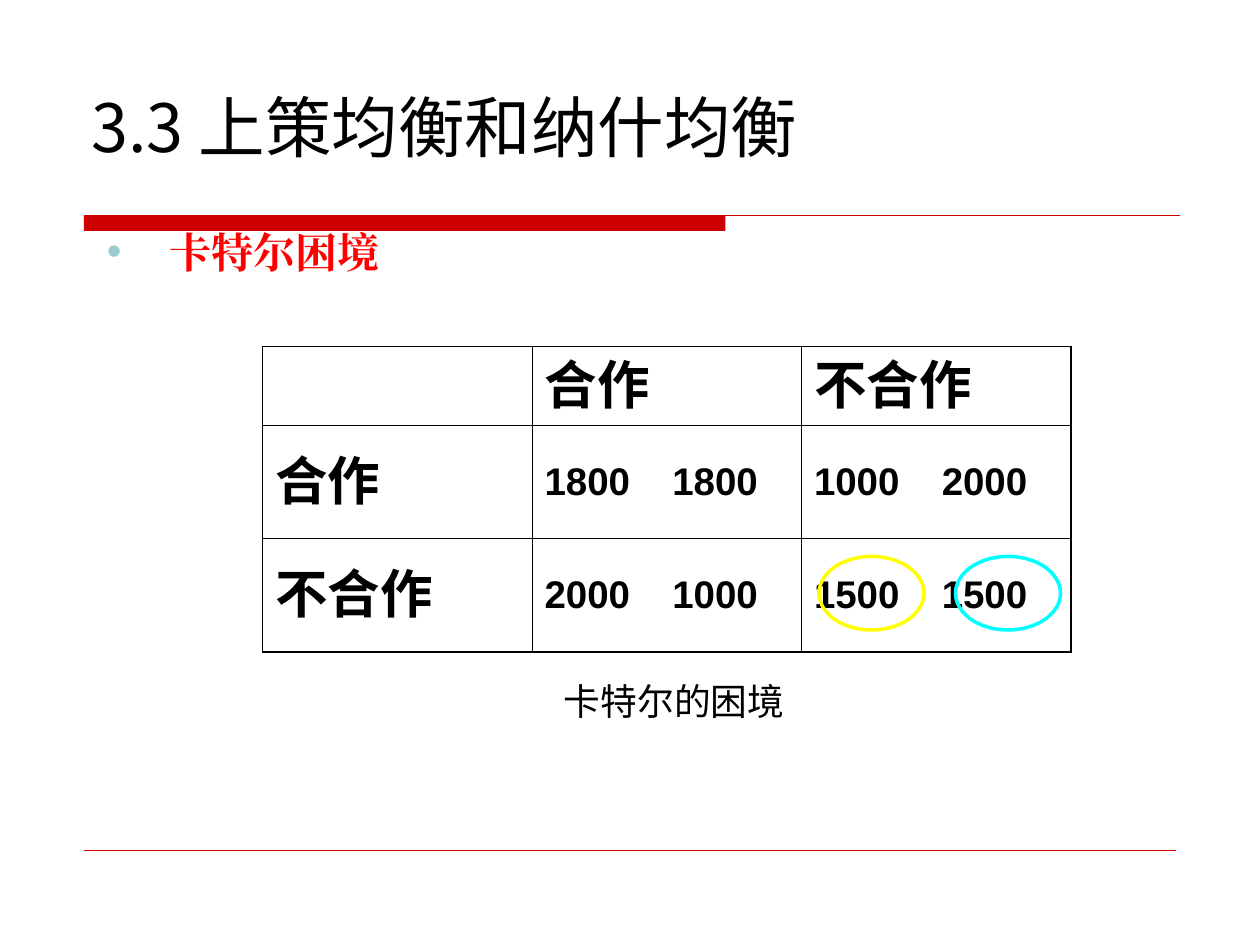
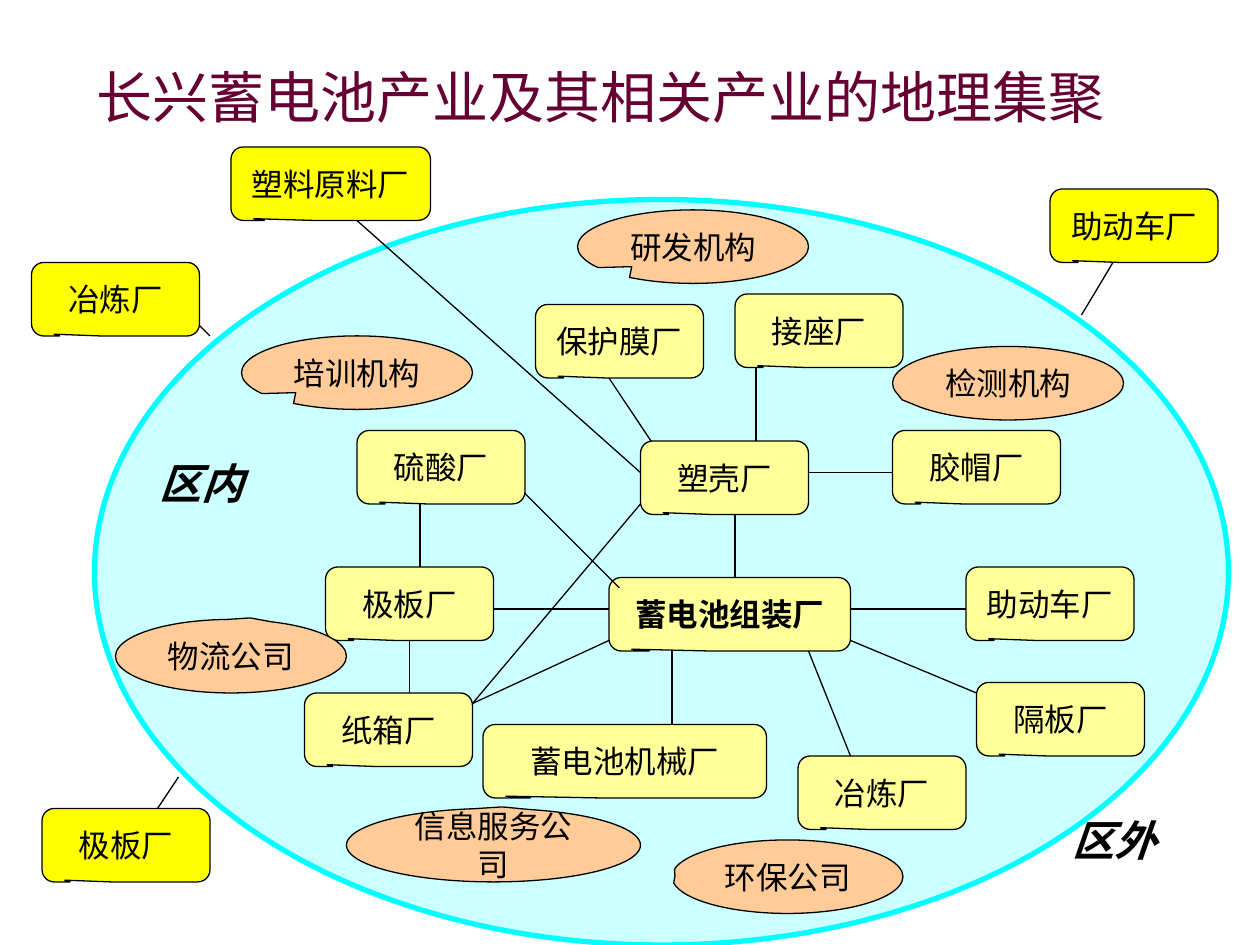
import lxml.etree
import pptx
import pptx.dml.color
import pptx.enum.shapes
import pptx.enum.text
import pptx.oxml.ns
import pptx.util

Pt = pptx.util.Pt
RGB = pptx.dml.color.RGBColor
KIND = pptx.enum.shapes.MSO_SHAPE
ALIGN = pptx.enum.text.PP_ALIGN
ANCHOR = pptx.enum.text.MSO_ANCHOR
qn = pptx.oxml.ns.qn

BLACK = RGB(0x00, 0x00, 0x00)
CRIMSON = RGB(0xCC, 0x00, 0x00)
RED = RGB(0xFF, 0x00, 0x00)
PLUM = RGB(0x66, 0x00, 0x33)
YELLOW = RGB(0xFF, 0xFF, 0x00)
CREAM = RGB(0xFF, 0xFF, 0x99)
PEACH = RGB(0xFF, 0xCC, 0x99)
CYAN = RGB(0x00, 0xFF, 0xFF)
PALE = RGB(0xCC, 0xFF, 0xFF)
TEAL = RGB(0x99, 0xCC, 0xCC)

HEAD = "Noto Sans CJK SC"
LABEL = "DejaVu Sans"
CELL = "Arial"
SERIF = "Times New Roman"


def node(parent, tag, **attrs):
    return lxml.etree.SubElement(parent, qn(tag), **attrs)


class Deck:
    """Holds the presentation, its style and the slide being filled."""

    def __init__(self):
        self.prs = pptx.Presentation()
        self.prs.slide_width = Pt(720)
        self.prs.slide_height = Pt(540)
        self.slide = None

    def start(self, title, box, size, color, anchor):
        self.slide = self.prs.slides.add_slide(self.prs.slide_layouts[5])
        head = self.slide.shapes.title
        head.left, head.top, head.width, head.height = map(Pt, box)
        frame = head.text_frame
        frame.auto_size = pptx.enum.text.MSO_AUTO_SIZE.NONE
        self.fill(frame, title, size, HEAD, color, anchor=anchor)

    def fill(self, frame, text, size, font, color=BLACK, bold=False,
             italic=False, align=ALIGN.LEFT, anchor=ANCHOR.TOP):
        """Put one styled run of text into a text frame."""
        frame.word_wrap = True
        frame.vertical_anchor = anchor
        para = frame.paragraphs[0]
        para.alignment = align
        para.space_before = Pt(0)
        run = para.add_run()
        run.text = text
        run.font.size = Pt(size)
        run.font.bold = bold
        run.font.italic = italic
        run.font.color.rgb = color
        run.font.name = font
        node(run.font._element, "a:ea", typeface=font)
        return para

    def text(self, box, text, size, font, **style):
        area = self.slide.shapes.add_textbox(*map(Pt, box))
        return self.fill(area.text_frame, text, size, font, **style)

    def bullet(self, box, text, size, font, mark, **style):
        para = self.text(box, text, size, font, **style)
        para.line_spacing = 1.2
        props = para._p.get_or_add_pPr()
        props.set("marL", str(Pt(36)))
        props.set("indent", str(-Pt(36)))
        node(node(props, "a:buClr"), "a:srgbClr", val=str(mark))
        node(props, "a:buFont", typeface=CELL)
        node(props, "a:buChar", char="•")

    def shape(self, kind, box, fill=None, line=None, width=0.75):
        item = self.slide.shapes.add_shape(kind, *map(Pt, box))
        item.shadow.inherit = False
        for part, color in ((item.fill, fill), (item.line.fill, line)):
            if color is None:
                part.background()
            else:
                part.solid()
                part.fore_color.rgb = color
        if line is not None:
            item.line.width = Pt(width)
        return item

    def callout(self, kind, box, tip, text, fill, bold=False):
        """Draw a callout whose tip is measured from its top left corner."""
        item = self.shape(kind, box, fill, BLACK)
        wide, high = box[2:]
        item.adjustments[0] = tip[0] / wide - 0.5
        item.adjustments[1] = tip[1] / high - 0.5
        self.fill(item.text_frame, text, 18, LABEL, bold=bold,
                  align=ALIGN.CENTER, anchor=ANCHOR.MIDDLE)

    def line(self, ends, color=BLACK, width=0.75):
        link = self.slide.shapes.add_connector(
            pptx.enum.shapes.MSO_CONNECTOR.STRAIGHT, *map(Pt, ends))
        link.line.color.rgb = color
        link.line.width = Pt(width)
        node(link._element.spPr, "a:effectLst")

    def table(self, box, heights, rows):
        count = len(rows[0])
        grid = self.slide.shapes.add_table(len(rows), count, *map(Pt, box)).table
        grid.first_row = grid.horz_banding = False
        for r, row in enumerate(rows):
            grid.rows[r].height = Pt(heights[r])
            for c, text in enumerate(row):
                cell = grid.cell(r, c)
                outer = {"L": c == 0, "R": c == count - 1,
                         "T": r == 0, "B": r == len(rows) - 1}
                self.border(cell, outer)
                cell.fill.background()
                cell.vertical_anchor = ANCHOR.MIDDLE
                if text:
                    self.entry(cell, text)

    def border(self, cell, outer):
        props = cell._tc.get_or_add_tcPr()
        for side, edge in outer.items():
            rule = node(props, "a:ln" + side, w=str(Pt(1.08 if edge else 0.45)))
            node(node(rule, "a:solidFill"), "a:srgbClr", val=str(BLACK))

    def entry(self, cell, text):
        """Set a heading, or a pair of payoffs kept apart by a tab."""
        pair = "\t" in text
        para = self.fill(cell.text_frame, text, 22 if pair else 30, CELL,
                         bold=True, anchor=ANCHOR.MIDDLE)
        if pair:
            stops = node(para._p.get_or_add_pPr(), "a:tabLst")
            node(stops, "a:tab", pos=str(Pt(73)), algn="l")


def cartel(deck):
    deck.start("3.3 上策均衡和纳什均衡", (45, 24, 630, 96), 38, BLACK,
               ANCHOR.MIDDLE)
    deck.shape(KIND.RECTANGLE, (48, 123, 366.5, 9), CRIMSON)
    deck.line((48, 123, 674.5, 123), CRIMSON)
    deck.line((48, 486, 672, 486), CRIMSON, 0.25)
    deck.text((109.5, 384.5, 551.5, 32.5), "卡特尔的困境", 21, HEAD,
              align=ALIGN.CENTER)
    deck.table((150, 198, 462, 174.6), (45, 64.8, 64.8), (
        ("", "合作", "不合作"),
        ("合作", "1800\t1800", "1000\t2000"),
        ("不合作", "2000\t1000", "1500\t1500")))
    for left, color in ((468, YELLOW), (546, CYAN)):
        deck.shape(KIND.OVAL, (left, 318, 60, 42), None, color, 2)
    deck.bullet((54, 120, 380, 42), "卡特尔困境", 24, SERIF, TEAL,
                color=RED, bold=True)


HIGH = 42
# name, left, top, width
INNER = (
    ("极板厂", 186, 324, 96), ("蓄电池机械厂", 276, 414, 162),
    ("助动车厂", 552, 324, 96), ("接座厂", 420, 168, 96),
    ("保护膜厂", 306, 174, 96), ("胶帽厂", 510, 246, 96),
    ("塑壳厂", 366, 252, 96), ("硫酸厂", 204, 246, 96),
    ("蓄电池组装厂", 348, 330, 138), ("纸箱厂", 174, 396, 96),
    ("隔板厂", 558, 390, 96), ("冶炼厂", 456, 432, 96),
)
OUTER = (
    ("冶炼厂", 18, 150, 96), ("助动车厂", 600, 108, 96),
    ("极板厂", 24, 462, 96), ("塑料原料厂", 132, 84, 114),
)
# name, left, top, width, tip
SERVICES = (
    ("培训机构", 138, 192, 132, (31, 32.4)),
    ("研发机构", 330, 120, 132, (31, 32.4)),
    ("检测机构", 510, 198, 132, (5.5, 30.5)),
    ("物流公司", 66, 354, 132, (77, -0.9)),
    ("环保公司", 384, 480, 132, (1.7, 20.6)),
    ("信息服务公司", 198, 462, 168, (89, -0.9)),
)
LINKS = (
    (240, 288, 240, 324), (486, 348, 552, 348), (282, 348, 348, 348),
    (300, 282, 354, 336), (510, 270, 462, 270), (432, 210, 432, 252),
    (348, 216, 372, 252), (420, 294, 420, 330), (384, 372, 384, 414),
    (234, 366, 234, 396), (348, 366, 270, 402), (366, 288, 270, 402),
    (486, 366, 558, 396), (462, 372, 486, 432), (114, 186, 120, 192),
    (90, 462, 102, 444), (618, 180, 636, 150), (204, 126, 366, 270),
)


def cluster(deck):
    deck.start("长兴蓄电池产业及其相关产业的地理集聚", (48, 24, 630, 54), 32,
               PLUM, ANCHOR.BOTTOM)
    deck.shape(KIND.OVAL, (54, 114, 648, 426), PALE, CYAN, 3)
    for plants, fill in ((INNER, CREAM), (OUTER, YELLOW)):
        for name, left, top, wide in plants:
            deck.callout(KIND.ROUNDED_RECTANGULAR_CALLOUT,
                         (left, top, wide, HIGH), (13, 41), name, fill,
                         bold=name == "蓄电池组装厂")
    for name, left, top, wide, tip in SERVICES:
        deck.callout(KIND.OVAL_CALLOUT, (left, top, wide, HIGH), tip, name,
                     PEACH)
    for ends in LINKS:
        deck.line(ends)
    for name, left, top, wide in (("区内", 84, 258, 90), ("区外", 606, 462, 96)):
        deck.text((left, top, wide, 36), name, 24, LABEL, bold=True,
                  italic=True)


def main():
    deck = Deck()
    cartel(deck)
    cluster(deck)
    deck.prs.save("out.pptx")


if __name__ == "__main__":
    main()
